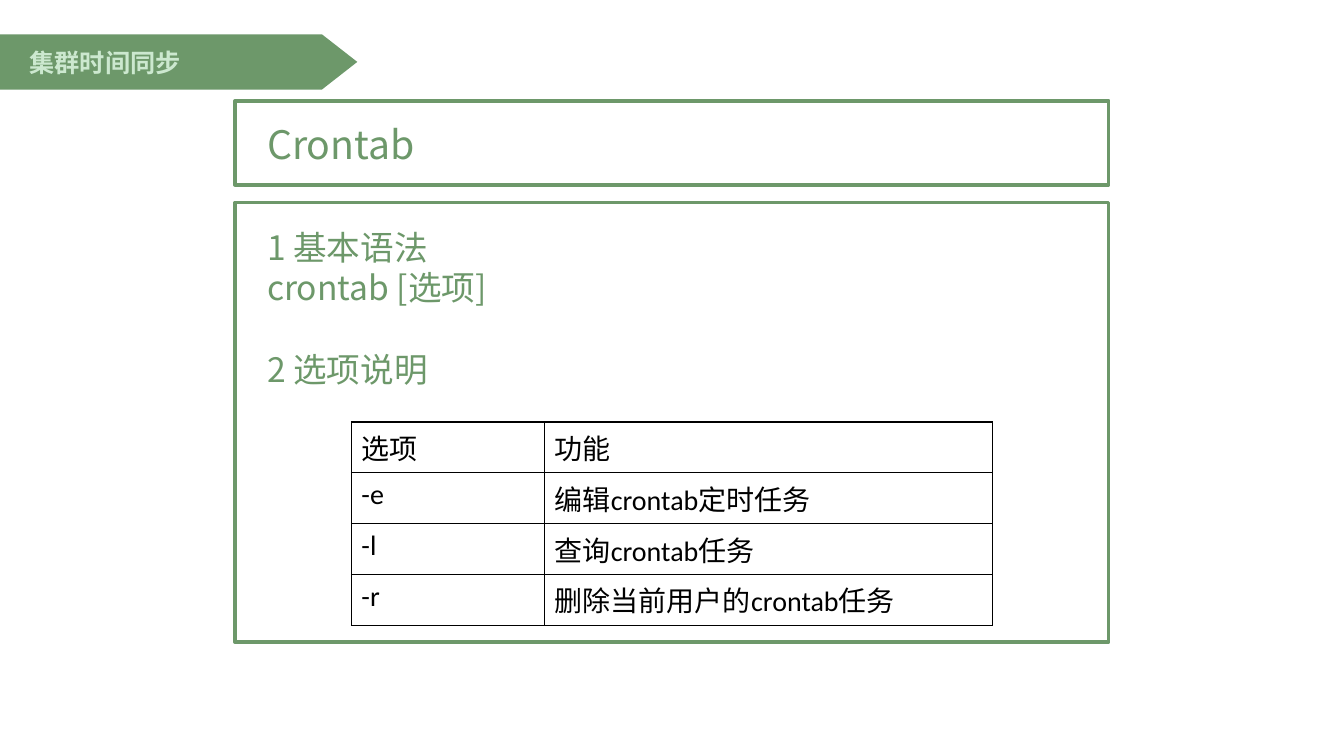
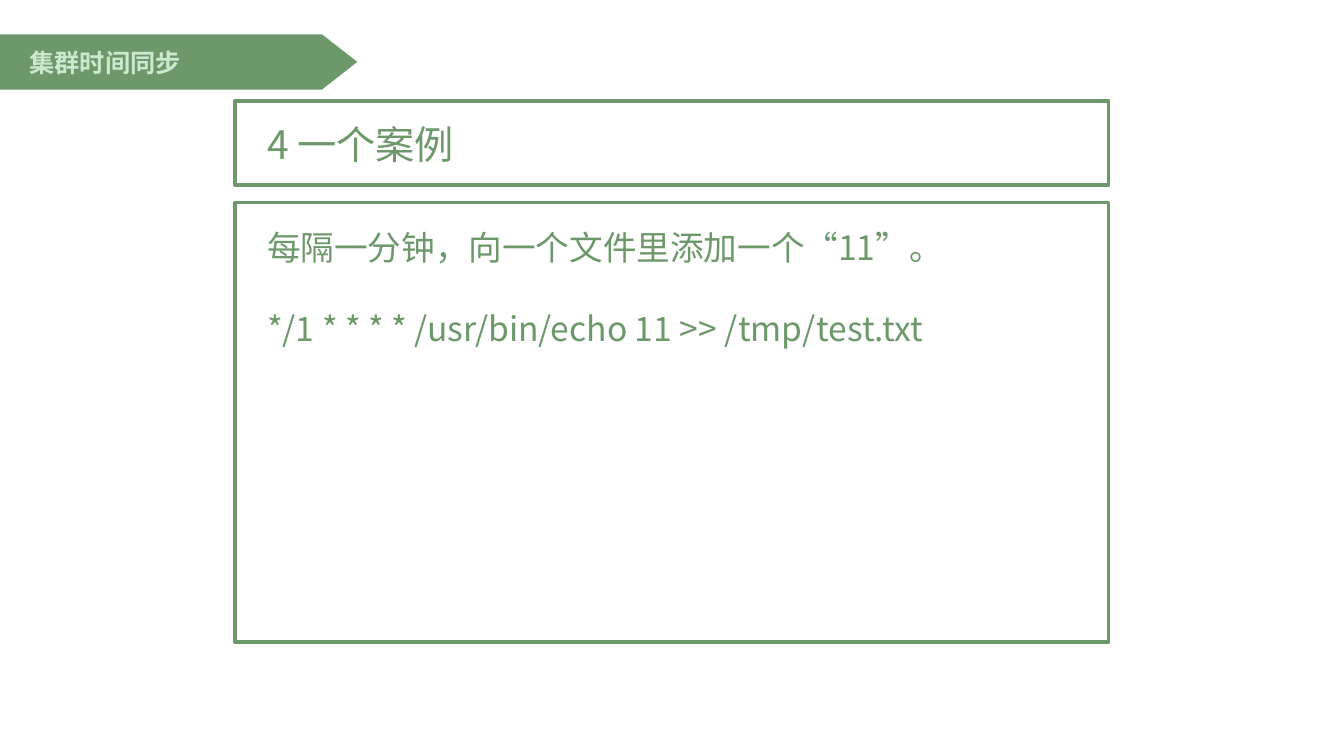
from lxml import etree
from pptx import Presentation
from pptx.dml.color import RGBColor
from pptx.enum.shapes import MSO_SHAPE as SHAPE
from pptx.enum.text import MSO_ANCHOR as ANCHOR, PP_ALIGN as ALIGN
from pptx.oxml.ns import qn
from pptx.util import Pt

COLORS = {"green": "6D986A", "mint": "CCE8CF", "black": "000000"}
CJK_FONT = "Noto Sans CJK SC"
TABLE_FONT = "Calibri"
SECTION = "集群时间同步"
FRAME_LEFT, FRAME_WIDTH = 167.8, 624.2
BODY_LINE = 29
COLUMN_WIDTHS = (138, 320)
ROW_HEIGHT = 31
OPTIONS = (
    ("选项", "功能"),
    ("-e", "编辑crontab定时任务"),
    ("-l", "查询crontab任务"),
    ("-r", "删除当前用户的crontab任务"),
)


def rgb(name):
    return RGBColor.from_string(COLORS[name])


def style_text(p, font, size, color, bold=False):
    for r in p.runs:
        r.font.name = font
        r.font.size = Pt(size)
        r.font.bold = bold
        r.font.color.rgb = rgb(color)


def fill_text(sp, lines, size, color, line, inset, top=0, gaps=(), bold=False):
    tf = sp.text_frame
    tf.word_wrap = True
    tf.vertical_anchor = ANCHOR.TOP if top else ANCHOR.MIDDLE
    tf.margin_left, tf.margin_top = Pt(inset), Pt(top)
    tf.margin_right = tf.margin_bottom = 0
    tf.text = "\n".join(lines)
    for i, p in enumerate(tf.paragraphs):
        p.alignment = ALIGN.LEFT
        p.line_spacing = Pt(line)
        if i in gaps:
            p.space_before = Pt(line)
        style_text(p, CJK_FONT, size, color, bold)
        for r in p.runs:
            ea = etree.SubElement(r.font._element, qn("a:ea"))
            ea.set("typeface", CJK_FONT)


def add_banner(slide):
    sp = slide.shapes.add_shape(SHAPE.PENTAGON, 0, Pt(24.5), Pt(255.2), Pt(39.5))
    sp.adjustments[0] = 0.64
    sp.shadow.inherit = False
    sp.fill.solid()
    sp.fill.fore_color.rgb = rgb("green")
    sp.line.fill.background()
    fill_text(sp, [SECTION], 18, "mint", 22, 21, bold=True)


def add_frame(slide, top, height):
    sp = slide.shapes.add_shape(
        SHAPE.RECTANGLE, Pt(FRAME_LEFT), Pt(top), Pt(FRAME_WIDTH), Pt(height))
    sp.shadow.inherit = False
    sp.fill.background()
    sp.line.color.rgb = rgb("green")
    sp.line.width = Pt(2.5)
    return sp


def add_page(prs, title, body, gaps):
    slide = prs.slides.add_slide(prs.slide_layouts[6])
    add_banner(slide)
    fill_text(add_frame(slide, 144.7, 314), body, 24, "green",
              BODY_LINE, 23, top=17, gaps=gaps)
    fill_text(add_frame(slide, 72, 60), [title], 28, "green", 35, 23)
    return slide


def set_borders(cell, color, width):
    tc_pr = cell._tc.get_or_add_tcPr()
    for i, side in enumerate(("lnL", "lnR", "lnT", "lnB")):
        ln = etree.Element(qn("a:" + side), w=str(Pt(width)))
        fill = etree.SubElement(ln, qn("a:solidFill"))
        etree.SubElement(fill, qn("a:srgbClr"), val=COLORS[color])
        tc_pr.insert(i, ln)


def add_option_table(slide, rows, left, top):
    frame = slide.shapes.add_table(
        len(rows), len(COLUMN_WIDTHS), Pt(left), Pt(top),
        Pt(sum(COLUMN_WIDTHS)), Pt(ROW_HEIGHT * len(rows)))
    table = frame.table
    table.first_row = table.horz_banding = False
    for column, width in zip(table.columns, COLUMN_WIDTHS):
        column.width = Pt(width)
    for i, row in enumerate(rows):
        table.rows[i].height = Pt(ROW_HEIGHT)
        for j, text in enumerate(row):
            cell = table.cell(i, j)
            cell.fill.background()
            set_borders(cell, "black", 1)
            p = cell.text_frame.paragraphs[0]
            p.text = text
            style_text(p, TABLE_FONT, 20, "black")


def main():
    prs = Presentation()
    prs.slide_width, prs.slide_height = Pt(960), Pt(540)
    slide = add_page(prs, "Crontab",
                     ["1 基本语法", "crontab [选项]", "2 选项说明"], gaps=(2,))
    add_option_table(slide, OPTIONS, 251, 301.5)
    add_page(prs, "4 一个案例",
             ["每隔一分钟，向一个文件里添加一个“11”。",
              "*/1 * * * * /usr/bin/echo 11 >> /tmp/test.txt"], gaps=(1,))
    prs.save("out.pptx")


if __name__ == "__main__":
    main()
